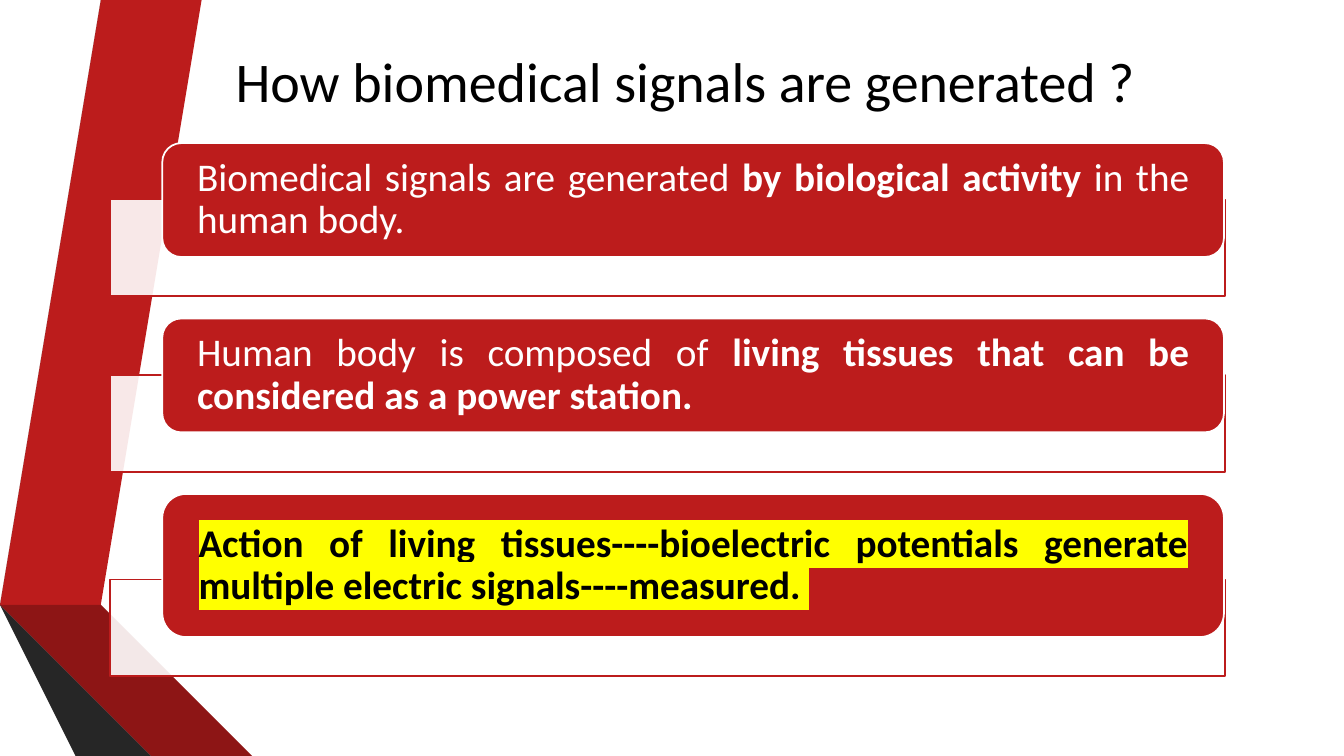
from dataclasses import dataclass

from lxml import etree
from pptx import Presentation
from pptx.dml.color import RGBColor
from pptx.enum.shapes import MSO_SHAPE
from pptx.enum.text import MSO_ANCHOR, PP_ALIGN
from pptx.oxml.ns import qn
from pptx.util import Inches, Pt

RECTANGLE = MSO_SHAPE.RECTANGLE
ROUNDED = MSO_SHAPE.ROUNDED_RECTANGLE
MIDDLE = MSO_ANCHOR.MIDDLE
CENTER, JUSTIFY = PP_ALIGN.CENTER, PP_ALIGN.JUSTIFY


@dataclass(frozen=True)
class Theme:
    font: str = "Calibri"
    title_size: int = 40
    body_size: int = 28
    line_width: float = 1.25
    red: str = "BC1C1C"
    dark_red: str = "8D1515"
    deep_red: str = "5E0E0E"
    gray: str = "595959"
    dark_gray: str = "404040"
    deep_gray: str = "262626"
    white: str = "FFFFFF"
    black: str = "000000"
    yellow: str = "FFFF00"


THEME = Theme()

# Ribbon outlines in inches, from back to front
RIBBONS = [
    (THEME.red, [(0.5, 5.78), (0.77, 5.83), (1.73, 0), (1.45, 0)]),
    (THEME.gray, [(1.39, 0), (1.11, 0), (0.16, 5.73), (0.44, 5.77)]),
    (THEME.deep_gray, [(0.16, 5.73), (1.45, 7.5), (1.51, 7.5)]),
    (THEME.deep_red, [(0.5, 5.79), (2.08, 7.5), (2.14, 7.5)]),
    (THEME.dark_red, [(0.5, 5.79), (2.14, 7.5), (2.83, 7.5), (0.77, 5.83), (0.5, 5.78)]),
    (THEME.dark_gray, [(2.02, 7.5), (0.48, 5.83), (0.44, 5.77), (0.16, 5.73), (1.51, 7.5)]),
]

# Bar height and runs: text, bold, colour, highlight
STATEMENTS = [
    (1.13, [
        ("Biomedical signals are generated ", False, THEME.white, None),
        ("by biological activity ", True, THEME.white, None),
        ("in the human body.", False, THEME.white, None),
    ]),
    (1.13, [
        ("Human body is composed of ", False, THEME.white, None),
        ("living tissues that can be considered as a power station.",
         True, THEME.white, None),
    ]),
    (1.42, [
        ("Action of living tissues----bioelectric potentials generate "
         "multiple electric signals----measured. ", True, THEME.black, THEME.yellow),
    ]),
]


def color(value):
    return RGBColor.from_string(value)


def paint(shape, fill, line=None):
    shape.shadow.inherit = False
    shape.fill.solid()
    shape.fill.fore_color.rgb = color(fill)
    if line:
        shape.line.color.rgb = color(line)
        shape.line.width = Pt(THEME.line_width)
    else:
        shape.line.fill.background()


def add_run(paragraph, text, size, text_color, bold=False, highlight=None):
    run = paragraph.add_run()
    run.text = text
    run.font.size = Pt(size)
    run.font.bold = bold
    run.font.color.rgb = color(text_color)
    run.font.name = THEME.font
    if highlight:
        mark = etree.Element(qn("a:highlight"))
        etree.SubElement(mark, qn("a:srgbClr"), val=highlight)
        run.font._element.find(qn("a:solidFill")).addnext(mark)


def add_ribbons(slide):
    for fill, points in RIBBONS:
        builder = slide.shapes.build_freeform(*points[0], scale=Inches(1))
        builder.add_line_segments(points[1:], close=True)
        paint(builder.convert_to_shape(), fill)


def add_title(slide, left, top, width, height):
    box = slide.shapes.add_textbox(
        Inches(left), Inches(top), Inches(width), Inches(height))
    frame = box.text_frame
    frame.word_wrap = True
    frame.vertical_anchor = MIDDLE
    paragraph = frame.paragraphs[0]
    paragraph.alignment = CENTER
    add_run(paragraph, "How biomedical signals are generated ?",
            THEME.title_size, THEME.black)


def add_statement(slide, left, top, width, bar_height, runs):
    """Place a bar over its outlined frame and return the frame's bottom."""
    frame_height, overlap, indent, bar_width = 0.96, 0.57, 0.52, 10.53
    frame_top = top + bar_height - overlap

    # Translucent frame
    outline = slide.shapes.add_shape(
        RECTANGLE, Inches(left), Inches(frame_top), Inches(width), Inches(frame_height))
    paint(outline, THEME.white, THEME.red)
    fill_color = outline._element.spPr.find(qn("a:solidFill"))[0]
    etree.SubElement(fill_color, qn("a:alpha"), val="90000")

    # Rounded bar with text
    bar = slide.shapes.add_shape(
        ROUNDED, Inches(left + indent), Inches(top), Inches(bar_width), Inches(bar_height))
    paint(bar, THEME.red, THEME.white)
    text_frame = bar.text_frame
    text_frame.word_wrap = True
    text_frame.vertical_anchor = MIDDLE
    text_frame.margin_left = text_frame.margin_right = Inches(0.29)
    text_frame.margin_top = text_frame.margin_bottom = 0
    paragraph = text_frame.paragraphs[0]
    paragraph.alignment = JUSTIFY
    paragraph.line_spacing = 0.9
    for text, bold, text_color, highlight in runs:
        add_run(paragraph, text, THEME.body_size, text_color, bold, highlight)
    return frame_top + frame_height


def add_statements(slide, left, top, width, gap=0.22):
    for bar_height, runs in STATEMENTS:
        top = add_statement(slide, left, top, width, bar_height, runs) + gap


def main():
    presentation = Presentation()
    presentation.slide_width = Inches(13.33)
    presentation.slide_height = Inches(7.5)
    slide = presentation.slides.add_slide(presentation.slide_layouts[6])
    add_ribbons(slide)
    add_title(slide, 1.62, 0.34, 10.35, 0.91)
    add_statements(slide, 1.09, 1.42, 11.06)
    presentation.save("out.pptx")


if __name__ == "__main__":
    main()
